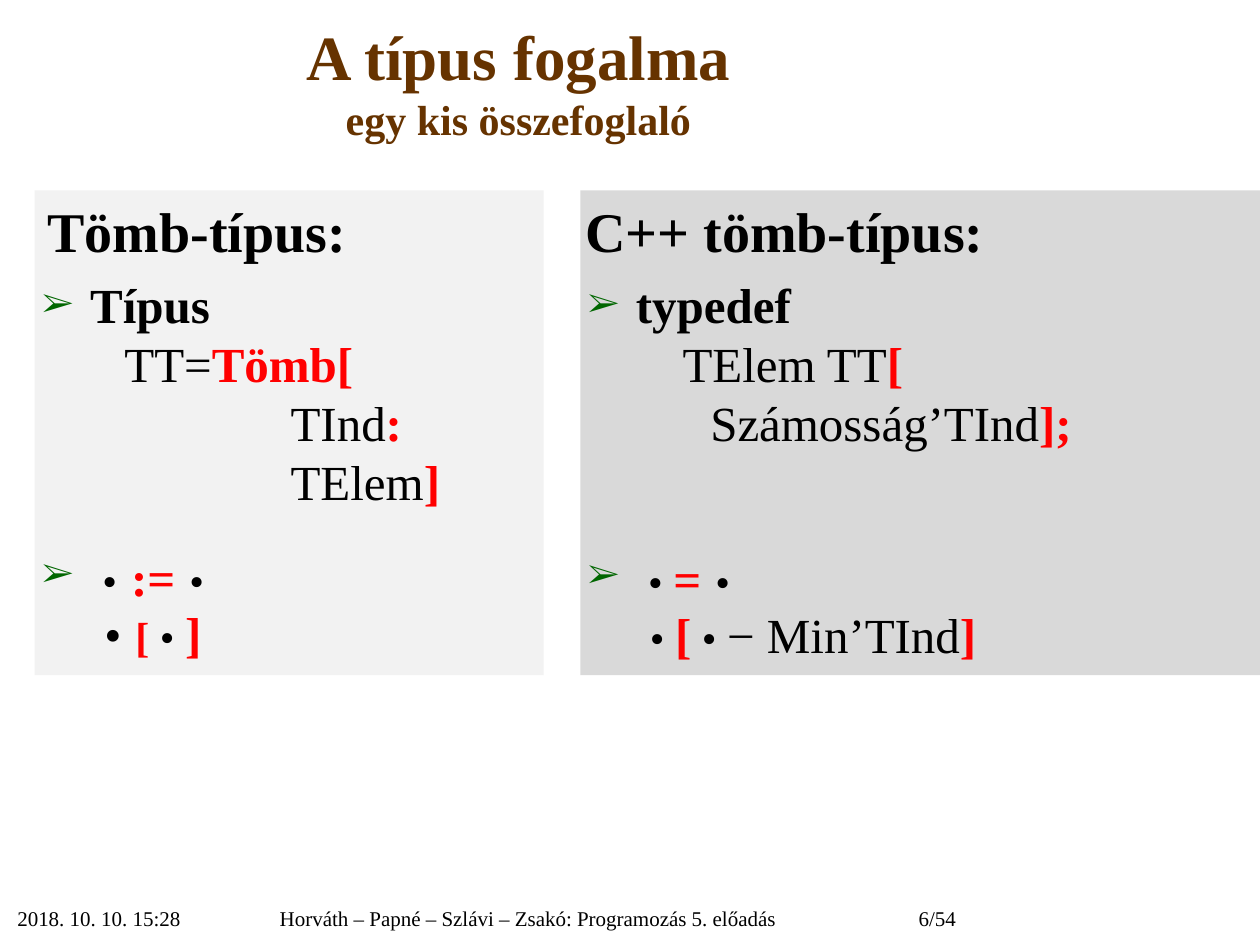
"""Build the slide that sums up array types in two panels."""
from dataclasses import dataclass

from lxml.etree import SubElement
from pptx import Presentation
from pptx.dml.color import RGBColor
from pptx.enum.shapes import MSO_SHAPE as Shape
from pptx.enum.text import MSO_ANCHOR as Anchor, MSO_AUTO_SIZE as Fit, PP_ALIGN as Align
from pptx.oxml.ns import qn
from pptx.util import Cm, Pt


@dataclass(frozen=True)
class Theme:
    """Hold the colours and type sizes."""
    font: str = "Times New Roman"
    brown: str = "663300"
    black: str = "000000"
    red: str = "FF0000"
    green: str = "006600"
    light: str = "F2F2F2"
    dark: str = "D9D9D9"
    title: int = 36
    head: int = 32
    body: int = 28
    sub: int = 24
    lead: int = 18
    foot: int = 12


T = Theme()


def write(par, text, size=T.body, color=T.black, bold=False):
    """Add formatted text to a paragraph."""
    run = par.add_run()
    run.text = text
    font = run.font
    font.name, font.size, font.bold = T.font, Pt(size), bold
    font.color.rgb = RGBColor.from_string(color)


def plain(text, size=T.body):
    """Give regular black text."""
    return text, {"size": size}


def strong(text, size=T.body):
    """Give bold black text."""
    return text, {"size": size, "bold": True}


def red(text, size=T.body):
    """Give bold red text."""
    return text, {"size": size, "bold": True, "color": T.red}


def line(*runs, left=0, before=0, pitch=1.0, mark=False):
    """Describe one line of a panel."""
    return {"runs": runs, "left": left, "before": before, "pitch": pitch, "mark": mark}


def indent(par, left, mark):
    """Indent a paragraph and mark it with an arrow bullet if asked."""
    props = par._p.get_or_add_pPr()
    props.set("marL", str(Cm(left)))
    props.set("indent", str(Cm(-0.97) if mark else 0))
    if mark:
        color = SubElement(props, qn("a:buClr"))
        SubElement(color, qn("a:srgbClr"), val=T.green)
        SubElement(props, qn("a:buSzPct"), val="70000")
        SubElement(props, qn("a:buFont"), typeface=T.font)
        SubElement(props, qn("a:buChar"), char="➢")


def panel(slide, left, width, fill, lines):
    """Draw a filled panel with its lines."""
    box = slide.shapes.add_shape(Shape.RECTANGLE, Cm(left), Cm(3.84), Cm(width), Cm(9.77))
    box.shadow.inherit = False
    box.fill.solid()
    box.fill.fore_color.rgb = RGBColor.from_string(fill)
    box.line.fill.background()
    frame = box.text_frame
    frame.word_wrap = True
    frame.vertical_anchor = Anchor.TOP
    frame.margin_left = frame.margin_right = Cm(0.1)
    frame.margin_top = frame.margin_bottom = Cm(0.13)
    for i, item in enumerate(lines):
        par = frame.add_paragraph() if i else frame.paragraphs[0]
        indent(par, item["left"], item["mark"])
        par.alignment = Align.LEFT
        par.space_before = Pt(item["before"])
        par.line_spacing = item["pitch"]
        for text, style in item["runs"]:
            write(par, text, **style)


def title(slide):
    """Fill the title placeholder."""
    shape = slide.shapes.title
    shape.left, shape.top, shape.width, shape.height = Cm(0), Cm(0.23), Cm(20.9), Cm(3.1)
    frame = shape.text_frame
    frame.auto_size = Fit.NONE
    frame.vertical_anchor = Anchor.TOP
    par = frame.paragraphs[0]
    par.alignment = Align.CENTER
    write(par, "A típus fogalma", size=T.title, color=T.brown, bold=True)
    par.add_line_break()
    write(par, "egy kis összefoglaló", size=T.sub, color=T.brown, bold=True)


def footer(slide, left, width, text):
    """Add a text box at the foot of the slide."""
    box = slide.shapes.add_textbox(Cm(left), Cm(18.14), Cm(width), Cm(0.95))
    box.text_frame.word_wrap = True
    write(box.text_frame.paragraphs[0], text, size=T.foot)


def main():
    """Build and save the slide."""
    deck = Presentation()
    deck.slide_width, deck.slide_height = Cm(25.4), Cm(19.05)
    slide = deck.slides.add_slide(deck.slide_layouts[5])
    title(slide)
    dot, gap = plain("•", T.sub), plain(" ", T.head)
    first = {"left": 1.02, "before": 6, "mark": True}
    last = {"left": 1.02, "pitch": Pt(32)}
    panel(slide, 0.7, 10.26, T.light, [
        line(plain(" ", T.lead), strong("Tömb-típus:", T.head)),
        line(strong("Típus"), **first),
        line(plain("TT="), red("Tömb["), left=1.71),
        line(plain("TInd"), red(":"), left=5.06),
        line(plain("TElem"), red("]"), left=5.06),
        line(plain(" "), dot, gap, red(":="), gap, dot, before=24, mark=True, **last),
        line(gap, plain("•"), gap, red("[ ", T.sub), plain("• ", T.sub), red("]"), **last),
    ])
    panel(slide, 11.7, 13.94, T.dark, [
        line(strong("C++ tömb-típus:", T.head)),
        line(strong("typedef"), **first),
        line(plain("TElem TT"), red("["), left=1.96),
        line(plain("Számosság’TInd"), red("];"), left=2.52),
        line(plain(" "), plain("• ", T.sub), red("="), gap, dot, before=58, mark=True, **last),
        line(gap, plain("• ", T.sub), red("["), plain(" • ", T.sub),
             plain("− Min’TInd"), red("]"), **last),
    ])
    footer(slide, 0.1, 5.28, "2018. 10. 10. 15:28")
    footer(slide, 5.39, 12.88, "Horváth – Papné – Szlávi – Zsakó: Programozás 5. előadás")
    footer(slide, 18.27, 3.23, "6/54")
    deck.save("out.pptx")


if __name__ == "__main__":
    main()
